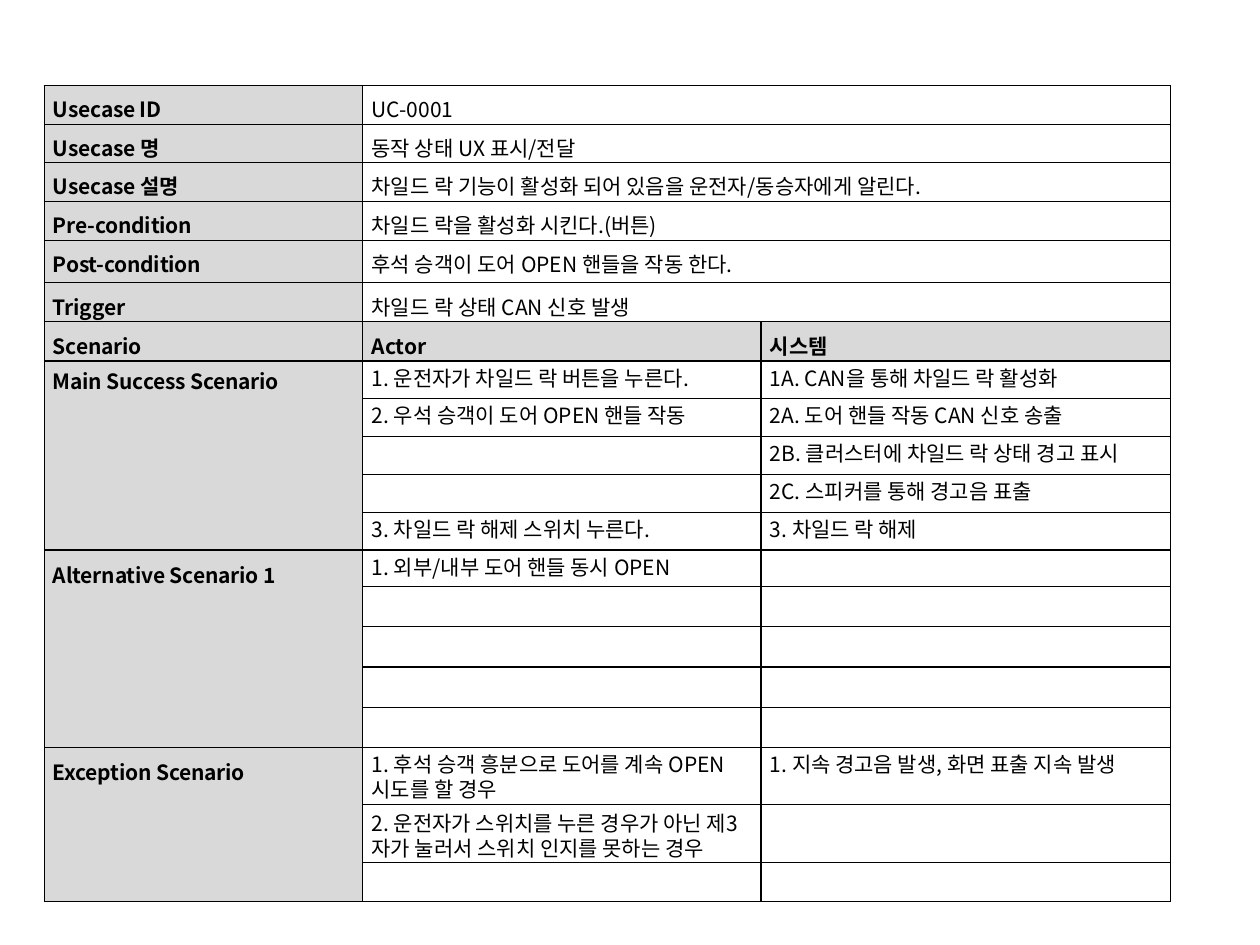
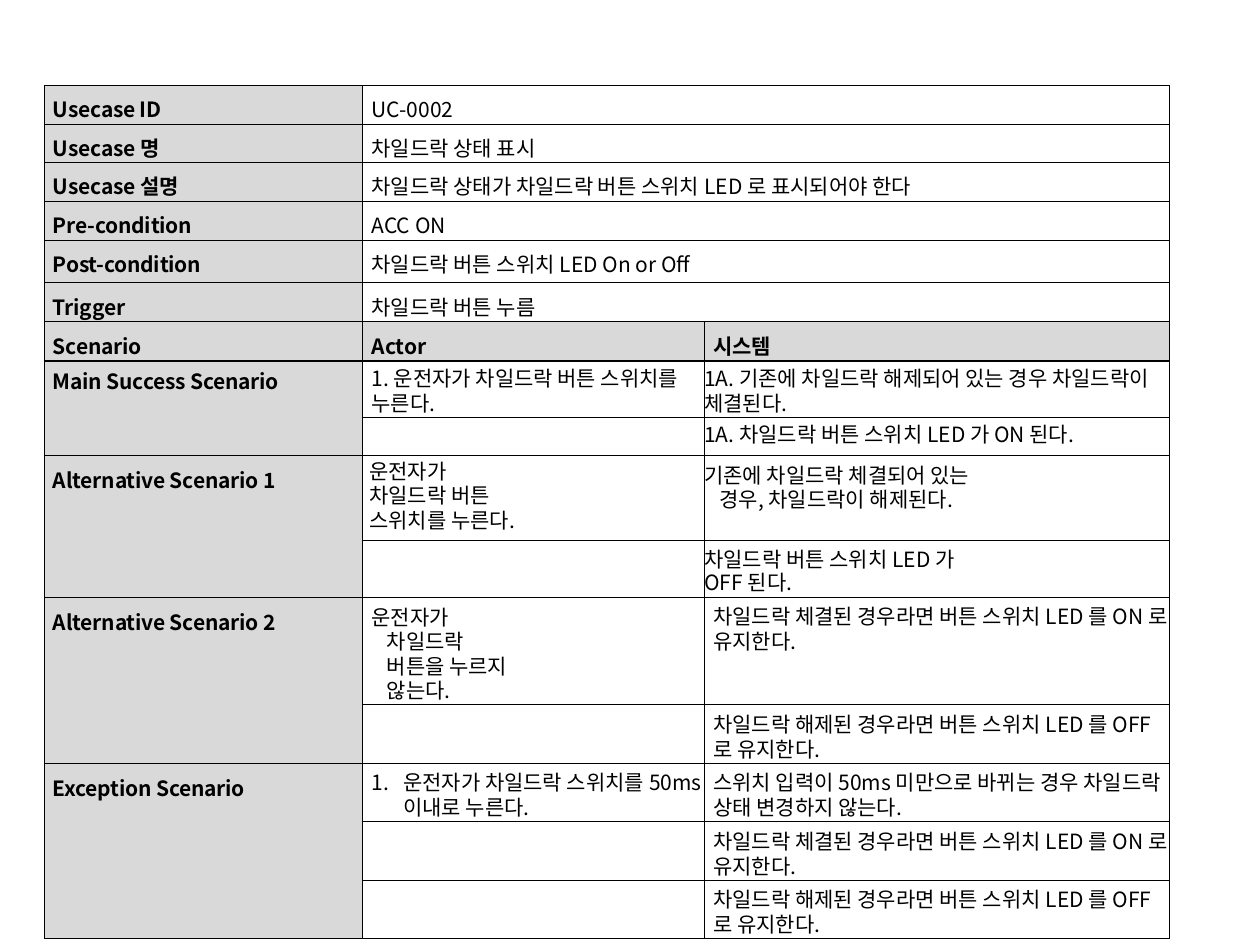
from pptx import Presentation
from pptx import util as u
from pptx.dml.color import RGBColor
from lxml import etree

FONT, INK, GREY = "Noto Sans CJK KR", "000000", "D9D9D9"
NS = "http://schemas.openxmlformats.org/drawingml/2006/main"

deck = Presentation()
deck.slide_width, deck.slide_height = u.Inches(10), u.Inches(7.5)
unit = deck.slide_width // 1000

LABELS = ["Usecase ID", "Usecase 명", "Usecase 설명",
          "Pre-condition", "Post-condition", "Trigger"]
TITLES = ["Scenario", "Actor", "시스템"]
TOPS = [31, 30, 31, 31, 33, 31, 31]

# style: top inset, side inset, left indent, first line, line pitch, space before
STYLES = {
    "head": (6, 0, 7, 0, None, 4.7),
    "low": (7, 0, 7, 0, None, 4.7),
    "main": (8, 0, 7, 0, 13.9, 5.6),
    "step": (5, 0, 7, 0, 14.3, 3.5),
    "note": (7, 0, 7, 0, 14.2, 4.7),
    "flat": (5, 0, 0, 0, 14.3, 0),
    "inset": (5, 5, 0, 0, 13.9, 0),
    "hang": (8, 0, 12, -12, 13.9, 5.6),
    "deep": (8, 0, 19, -12, 13.9, 5.6),
    "tight": (8, 0, 0, 0, 13, 0),
    "list": (7, 0, 32, -25, 14.2, 4.7),
}
NONE = ("step", "")
KEEP = [("note", f"차일드락 {was}된 경우라면 버튼 스위치 LED 를 {led} 로 유지한다.")
        for was, led in [("체결", "ON"), ("해제", "OFF")]]

CASES = [
    ([253, 316, 325],
     ["UC-0001", "동작 상태 UX 표시/전달",
      "차일드 락 기능이 활성화 되어 있음을 운전자/동승자에게 알린다.",
      "차일드 락을 활성화 시킨다.(버튼)",
      "후석 승객이 도어 OPEN 핸들을 작동 한다.",
      "차일드 락 상태 CAN 신호 발생"],
     [("Main Success Scenario", [
         (30, ("step", "1. 운전자가 차일드 락 버튼을 누른다."),
          ("step", "1A. CAN을 통해 차일드 락 활성화")),
         (30, ("step", "2. 우석 승객이 도어 OPEN 핸들 작동"),
          ("step", "2A. 도어 핸들 작동 CAN 신호 송출")),
         (30, NONE, ("step", "2B. 클러스터에 차일드 락 상태 경고 표시")),
         (30, NONE, ("step", "2C. 스피커를 통해 경고음 표출")),
         (30, ("step", "3. 차일드 락 해제 스위치 누른다."),
          ("step", "3. 차일드 락 해제"))]),
      ("Alternative Scenario 1", [
          (29, ("step", "1. 외부/내부 도어 핸들 동시 OPEN"), NONE)]
       + [(32, NONE, NONE)] * 4),
      ("Exception Scenario", [
          (45, ("step", "1. 후석 승객 흥분으로 도어를 계속 OPEN 시도를 할 경우"),
           ("step", "1. 지속 경고음 발생, 화면 표출 지속 발생")),
          (45, ("note", "2. 운전자가 스위치를 누른 경우가 아닌 제3자가 눌러서 "
                        "스위치 인지를 못하는 경우"), NONE),
          (31, NONE, NONE)])]),
    ([253, 271, 369],
     ["UC-0002", "차일드락 상태 표시",
      "차일드락 상태가 차일드락 버튼 스위치 LED 로 표시되어야 한다",
      "ACC ON", "차일드락 버튼 스위치 LED On or Off", "차일드락 버튼 누름"],
     [("Main Success Scenario", [
         (44, ("step", "1. 운전자가 차일드락 버튼 스위치를 누른다."),
          ("flat", "1A. 기존에 차일드락 해제되어 있는 경우 차일드락이 체결된다.")),
         (30, NONE, ("flat", "1A. 차일드락 버튼 스위치 LED 가 ON 된다."))]),
      ("Alternative Scenario 1", [
          (67, ("inset", "운전자가\n차일드락 버튼\n스위치를 누른다."),
           ("hang", "기존에 차일드락 체결되어 있는\n경우, 차일드락이 해제된다.")),
          (45, NONE, ("tight", "차일드락 버튼 스위치 LED 가\nOFF 된다."))]),
      ("Alternative Scenario 2", [
          (85, ("deep", "운전자가\n차일드락\n버튼을 누르지\n않는다."), KEEP[0]),
          (45, NONE, KEEP[1])]),
      ("Exception Scenario", [
          (46, ("list", "운전자가 차일드락 스위치를 50ms 이내로 누른다."),
           ("note", "스위치 입력이 50ms 미만으로 바뀌는 경우 "
                    "차일드락 상태 변경하지 않는다.")),
          (46, NONE, KEEP[0]),
          (46, NONE, KEEP[1])])]),
]


def hue(code):
    return RGBColor.from_string(code)


def put(cell, style, words, bold=False, track=0):
    top, side, left, first, pitch, gap = STYLES[style]
    cell.margin_top = top * unit
    cell.margin_left = cell.margin_right = cell.margin_bottom = side * unit
    para = cell.text_frame.paragraphs[0]
    para.space_before = u.Pt(gap)
    if pitch:
        para.line_spacing = u.Pt(pitch)
    prop = para._p.get_or_add_pPr()
    prop.set("marL", str(left * unit))
    prop.set("indent", str(first * unit))
    if style == "list":
        etree.SubElement(prop, f"{{{NS}}}buFont", typeface=FONT)
        etree.SubElement(prop, f"{{{NS}}}buAutoNum", type="arabicPeriod")
    if not words:
        etree.SubElement(para._p, f"{{{NS}}}endParaRPr", sz="1000")
        return
    for num, line in enumerate(words.split("\n")):
        if num:
            para.add_line_break()
        run = para.add_run()
        run.text = line
        font = run.font
        font.size, font.bold, font.name = u.Pt(12), bold, FONT
        font.color.rgb = hue(INK)
        mark = run._r.get_or_add_rPr()
        mark.set("spc", str(track))
        etree.SubElement(mark, f"{{{NS}}}ea", typeface=FONT)


for cols, facts, groups in CASES:
    slide = deck.slides.add_slide(deck.slide_layouts[6])
    rows = TOPS + [step[0] for _, steps in groups for step in steps]
    frame = slide.shapes.add_table(len(rows), 3, 35 * unit, 68 * unit,
                                   sum(cols) * unit, sum(rows) * unit)
    table = frame.table
    table.first_row = table.horz_banding = False
    for col, wide in zip(table.columns, cols):
        col.width = wide * unit
    for row, high in zip(table.rows, rows):
        row.height = high * unit

    for r in range(len(rows)):
        for c in range(3):
            cell = table.cell(r, c)
            prop = cell._tc.get_or_add_tcPr()
            for edge in "LRTB":
                line = etree.SubElement(prop, f"{{{NS}}}ln{edge}", w="9525")
                fill = etree.SubElement(line, f"{{{NS}}}solidFill")
                etree.SubElement(fill, f"{{{NS}}}srgbClr", val=INK)
            if c == 0 or r == len(LABELS):
                cell.fill.solid()
                cell.fill.fore_color.rgb = hue(GREY)
            else:
                cell.fill.background()

    for r, (label, fact) in enumerate(zip(LABELS, facts)):
        style = "low" if label == "Trigger" else "head"
        table.cell(r, 1).merge(table.cell(r, 2))
        put(table.cell(r, 0), style, label, True, -10)
        put(table.cell(r, 1), style, fact)
        put(table.cell(r, 2), style, "")
    for c, title in enumerate(TITLES):
        put(table.cell(len(LABELS), c), "low", title, True, 0 if c else -10)

    r = len(TOPS)
    for label, steps in groups:
        table.cell(r, 0).merge(table.cell(r + len(steps) - 1, 0))
        style = "main" if label.startswith("Main") else "low"
        for num, (_, actor, system) in enumerate(steps):
            put(table.cell(r, 0), style, "" if num else label, True, -10)
            put(table.cell(r, 1), *actor)
            put(table.cell(r, 2), *system)
            r += 1

deck.save("out.pptx")
